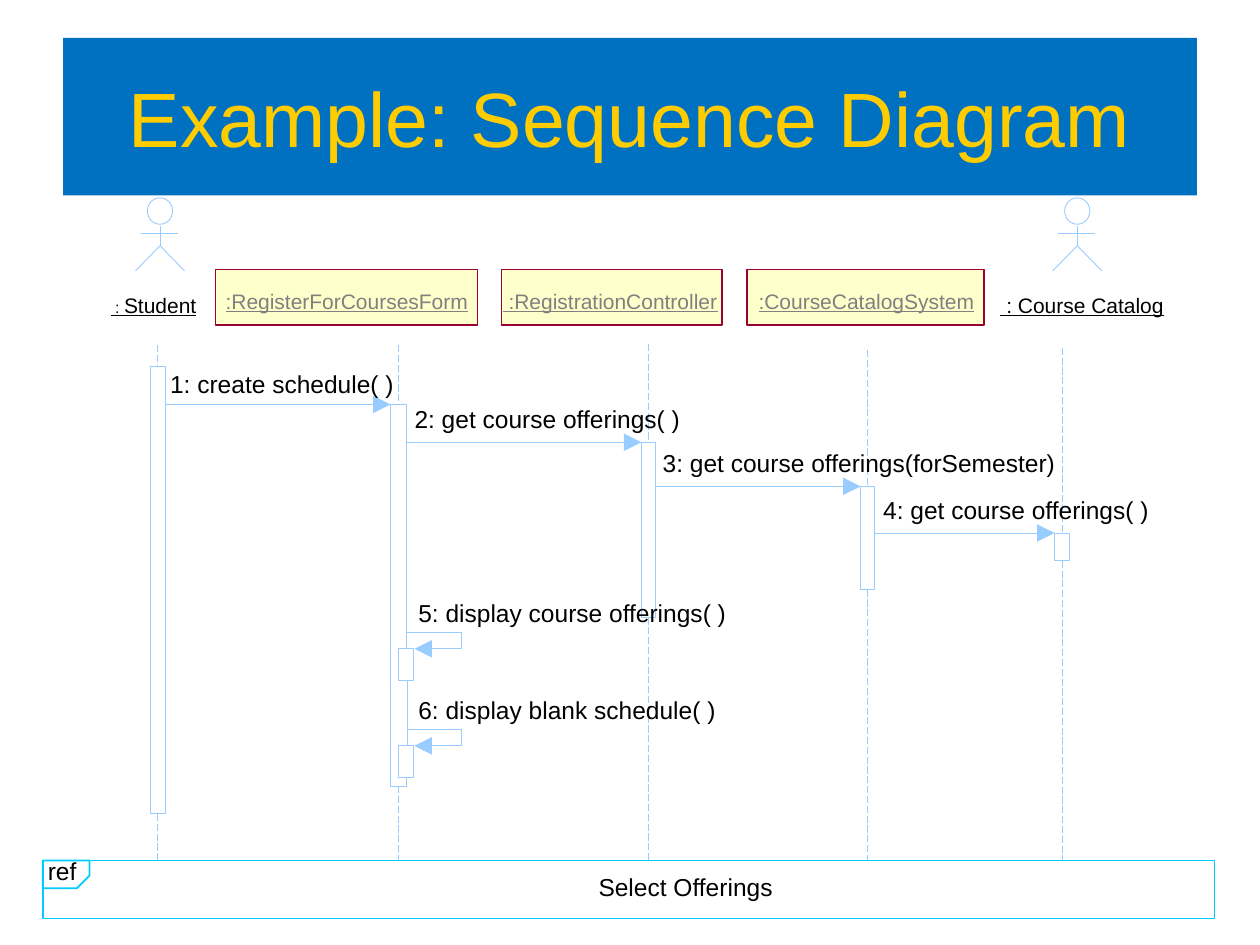
from lxml import etree
from pptx import Presentation
from pptx.dml.color import RGBColor
from pptx.enum.dml import MSO_LINE
from pptx.enum.shapes import MSO_CONNECTOR, MSO_SHAPE
from pptx.enum.text import MSO_ANCHOR, MSO_AUTO_SIZE, PP_ALIGN
from pptx.oxml.ns import qn
from pptx.util import Inches, Pt

RECTANGLE, OVAL = MSO_SHAPE.RECTANGLE, MSO_SHAPE.OVAL
STRAIGHT = MSO_CONNECTOR.STRAIGHT
LONG_DASH = MSO_LINE.LONG_DASH
CENTER, MIDDLE = PP_ALIGN.CENTER, MSO_ANCHOR.MIDDLE
GROW = MSO_AUTO_SIZE.SHAPE_TO_FIT_TEXT

COLUMNS, ROWS = 100, 75
FRAME_TOP = 68.3

# lifeline x, lifeline top, activation top, activation bottom, activation width
PARTICIPANTS = [
    (12.5, 27.4, 29.1, 64.6, 1.2),
    (31.65, 27.4, 32.1, 62.4, 1.3),
    (51.45, 27.3, 35.1, 49.0, 1.1),
    (68.85, 27.8, 38.6, 46.8, 1.1),
    (84.3, 27.6, 42.3, 44.5, 1.2),
]
FORM = 1
# box left, box width, label left, label width, label, wrapped
HEADERS = [
    (17.1, 20.8, 17.9, 19.5, ":RegisterForCoursesForm", False),
    (39.8, 17.5, 39.9, 18.2, " :RegistrationController", True),
    (59.3, 18.8, 60.2, 17.5, ":CourseCatalogSystem", False),
]
# left, top, width, text
MESSAGES = [
    (13.5, 29.3, 18, "1: create schedule( )"),
    (32.9, 32.1, 21.3, "2: get course offerings( )"),
    (52.6, 35.6, 31.4, "3: get course offerings(forSemester)"),
    (70.1, 39.3, 21.3, "4: get course offerings( )"),
]
# top of the loop, label width, text
SELF_CALLS = [
    (50.2, 24.7, "5: display course offerings( )"),
    (57.9, 24, "6: display blank schedule( )"),
]


def rgb(color):
    return RGBColor.from_string(color)


class SequenceDiagram:
    font = "Arial"
    ink = "000000"
    stroke = "99CCFF"
    thin = 0.5

    def __init__(self, deck):
        self.column = deck.slide_width / COLUMNS
        self.row = deck.slide_height / ROWS
        self.slide = deck.slides.add_slide(deck.slide_layouts[5])
        self.shapes = self.slide.shapes

    def grid(self, *lengths):
        """Turn alternating columns and rows into slide units."""
        return [round(length * (self.row if index % 2 else self.column))
                for index, length in enumerate(lengths)]

    def outline(self, shape, color=None, width=None, arrow=False, dash=None):
        shape.line.color.rgb = rgb(color or self.stroke)
        shape.line.width = Pt(width or self.thin)
        if dash:
            shape.line.dash_style = dash
        if arrow:
            line = shape.element.spPr.find(qn("a:ln"))
            etree.SubElement(line, qn("a:tailEnd"), type="triangle", w="lg", len="lg")

    def title(self, text, place, size, color, fill):
        box = self.shapes.title
        box.left, box.top, box.width, box.height = self.grid(*place)
        box.fill.solid()
        box.fill.fore_color.rgb = rgb(fill)
        box.text_frame.vertical_anchor = MIDDLE
        box.text_frame.text = text
        para = box.text_frame.paragraphs[0]
        para.alignment = CENTER
        self.style(para.font, size, color)

    def style(self, font, size, color, underline=None):
        font.name, font.size, font.underline = self.font, Pt(size), underline
        font.color.rgb = rgb(color)

    def box(self, place, kind=RECTANGLE, fill=None, color=None, width=None):
        shape = self.shapes.add_shape(kind, *self.grid(*place))
        shape.shadow.inherit = False
        if fill:
            shape.fill.solid()
            shape.fill.fore_color.rgb = rgb(fill)
        else:
            shape.fill.background()
        self.outline(shape, color, width)

    def line(self, *ends, arrow=False, dash=None):
        connector = self.shapes.add_connector(STRAIGHT, *self.grid(*ends))
        self.outline(connector, arrow=arrow, dash=dash)
        etree.SubElement(connector.element.spPr, qn("a:effectLst"))

    def path_line(self, points, closed=False, **outline):
        start, *rest = [self.grid(*point) for point in points]
        builder = self.shapes.build_freeform(*start)
        builder.add_line_segments(rest, close=closed)
        shape = builder.convert_to_shape()
        shape.shadow.inherit = False
        shape.fill.background()
        self.outline(shape, **outline)

    def label(self, place, *spans, size=14, color=None, underline=None,
              wrap=False, spacing=None):
        """Add one line of text; a span is a string or a (string, size) pair."""
        frame = self.shapes.add_textbox(*self.grid(*place)).text_frame
        frame.margin_left = frame.margin_top = 0
        frame.margin_right = frame.margin_bottom = 0
        frame.word_wrap, frame.auto_size = wrap, GROW
        para = frame.paragraphs[0]
        self.style(para.font, size, color or self.ink, underline)
        if spacing:
            para.line_spacing = Pt(spacing)
        for span in spans:
            text, span_size = span if isinstance(span, tuple) else (span, None)
            run = para.add_run()
            run.text = text
            if span_size:
                run.font.size = Pt(span_size)

    def actor(self, x):
        self.box((x - 1, 15.7, 2, 2.1), OVAL)
        self.line(x, 17.9, x, 19.5)
        self.line(x - 1.5, 18.5, x + 1.4, 18.5)
        for foot in (x - 1.95, x + 1.95):
            self.line(foot, 21.5, x, 19.5)

    def participant(self, x, top, start, end, width, boxed):
        if boxed:
            self.box((x - width / 2, start, width, end - start))
        self.line(x, top, x, start, dash=LONG_DASH)
        self.line(x, end, x, FRAME_TOP, dash=LONG_DASH)

    def self_call(self, edge, top, width, text):
        """Draw a looping arrow into a small activation on the given edge."""
        end = top + 1.3
        self.path_line([(edge, top), (edge + 4.3, top), (edge + 4.3, end),
                        (edge + 0.6, end)], arrow=True)
        self.box((edge - 0.7, end, 1.2, 2.5))
        self.label((33.2, top - 2.75, width, 2.3), text)


def main():
    deck = Presentation()
    deck.slide_width, deck.slide_height = Inches(10), Inches(7.5)
    diagram = SequenceDiagram(deck)
    diagram.title("Example: Sequence Diagram", (5, 3, 90, 12.5), 44, "FFCC00", "0070C0")

    for x in (12.7, 85.5):
        diagram.actor(x)
    diagram.label((8.8, 23.2, 10.8, 2), (" : ", 9), "Student",
                  size=12, underline=True, wrap=True)
    diagram.label((79.4, 23.2, 13.2, 2), " : Course Catalog", size=12, underline=True)
    for left, width, text_left, text_width, text, wrap in HEADERS:
        diagram.box((left, 21.4, width, 4.4), fill="FFFFCC", color="990033", width=1)
        diagram.label((text_left, 22.9, text_width, 2), text, size=12,
                      color="808080", underline=True, wrap=wrap)

    for index, participant in enumerate(PARTICIPANTS):
        diagram.participant(*participant, boxed=index != FORM)
    for sender, receiver, message in zip(PARTICIPANTS, PARTICIPANTS[1:], MESSAGES):
        y = receiver[2]
        diagram.line(sender[0] + sender[4] / 2, y, receiver[0] - receiver[4] / 2, y,
                     arrow=True)
        diagram.label((*message[:3], 2.3), message[3])

    x, _, start, end, width = PARTICIPANTS[FORM]
    left, right = x - width / 2, x + width / 2
    first, second = [call[0] + 1.3 for call in SELF_CALLS]
    diagram.path_line([(right, first), (right, start), (left, start), (left, end),
                       (right, end), (right, second + 2.5)])
    diagram.line(right, first + 2.5, right, second)
    for call in SELF_CALLS:
        diagram.self_call(right, *call)

    frame = {"color": "00CCFF", "width": 1}
    diagram.box((3.4, FRAME_TOP, 93, 4.6), **frame)
    diagram.path_line([(3.4, 70.5), (3.4, FRAME_TOP), (7.1, FRAME_TOP), (7.1, 69.5),
                       (6.1, 70.5)], closed=True, **frame)
    diagram.label((47.5, 69.7, 13.9, 1.8), "Select Offerings", spacing=13)
    diagram.label((3.8, 68.5, 2.3, 1.8), "ref", spacing=13)
    deck.save("out.pptx")


if __name__ == "__main__":
    main()
